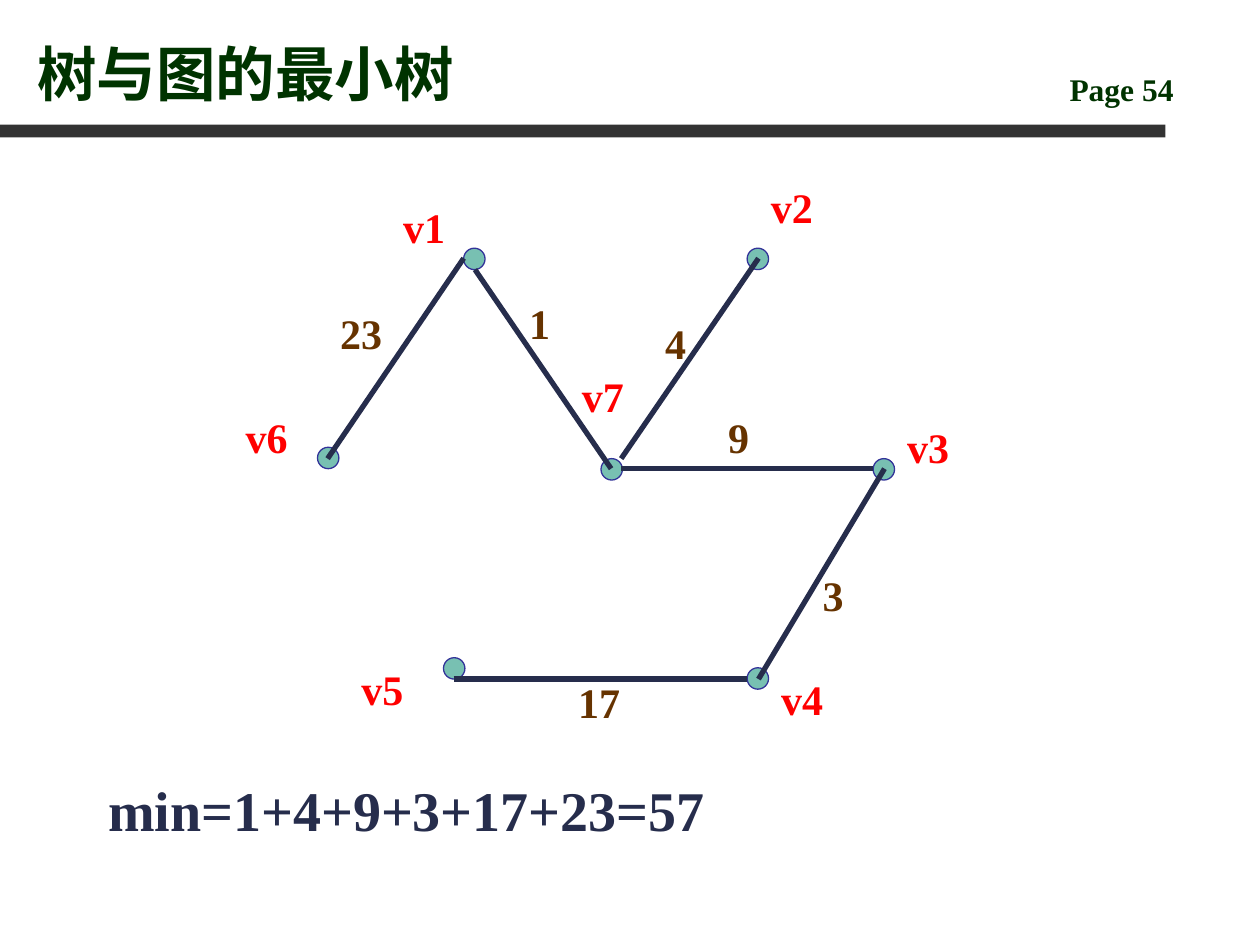
from dataclasses import dataclass

from lxml import etree
from pptx import Presentation
from pptx.dml.color import RGBColor as Color
from pptx.enum.shapes import MSO_CONNECTOR as Connector, MSO_SHAPE as Shape
from pptx.enum.text import MSO_ANCHOR as Anchor
from pptx.oxml.ns import qn
from pptx.util import Inches, Pt


@dataclass(frozen=True)
class Theme:
    font: str = "Times New Roman"
    heading: str = "003300"
    bar: str = "333333"
    node: str = "78C0B2"
    node_line: str = "333399"
    edge: str = "262D4C"
    vertex: str = "FF0000"
    weight: str = "663300"
    title_size: int = 34
    page_size: int = 18
    label_size: int = 24
    result_size: int = 32


theme = Theme()

presentation = Presentation()
presentation.slide_width, presentation.slide_height = Inches(10), Inches(7.5)
slide = presentation.slides.add_slide(presentation.slide_layouts[6])


def add_text(text, *, left, top, width=0.58, height=0.5, size=theme.label_size,
             color=theme.heading, anchor=Anchor.TOP):
    box = slide.shapes.add_textbox(Inches(left), Inches(top), Inches(width), Inches(height))
    frame = box.text_frame
    frame.word_wrap = True
    frame.vertical_anchor = anchor
    paragraph = frame.paragraphs[0]
    run = paragraph.add_run()
    run.text = text
    run.font.name = theme.font
    run.font.size = Pt(size)
    run.font.bold = True
    run.font.color.rgb = Color.from_string(color)


def add_filled(kind, left, top, width, height, fill):
    shape = slide.shapes.add_shape(kind, Inches(left), Inches(top), Inches(width), Inches(height))
    shape.shadow.inherit = False
    shape.fill.solid()
    shape.fill.fore_color.rgb = Color.from_string(fill)
    shape.line.fill.background()
    return shape


# Header: rule, page number and title
add_filled(Shape.RECTANGLE, 0, 0.99, 9.25, 0.1, theme.bar)
add_text("Page 54", left=8.39, top=0.51, width=1.42, height=0.4, size=theme.page_size)
add_text("树与图的最小树", left=0.2, top=0.13, width=8.03, height=0.78,
         size=theme.title_size, anchor=Anchor.BOTTOM)

# Vertices: name, node corner, label corner
vertices = [
    ("v7", (4.77, 3.64), (4.52, 2.89)),
    ("v4", (5.93, 5.3), (6.1, 5.3)),
    ("v5", (3.52, 5.22), (2.77, 5.22)),
    ("v2", (5.93, 1.97), (6.02, 1.39)),
    ("v3", (6.93, 3.64), (7.1, 3.3)),
    ("v6", (2.52, 3.55), (1.85, 3.22)),
    ("v1", (3.68, 1.97), (3.1, 1.55)),
]
for name, (left, top), label in vertices:
    node = add_filled(Shape.OVAL, left, top, 0.17, 0.17, theme.node)
    node.line.color.rgb = Color.from_string(theme.node_line)
    node.line.width = Pt(0.75)

# Tree edges: weight, start, end, label corner
edges = [
    ("23", (3.68, 2.05), (2.6, 3.64), (2.6, 2.39)),
    ("1", (3.77, 2.14), (4.85, 3.72), (4.1, 2.31)),
    ("4", (6.02, 2.05), (4.93, 3.64), (5.18, 2.47)),
    ("9", (4.93, 3.72), (6.93, 3.72), (5.68, 3.22)),
    ("17", (3.6, 5.39), (5.93, 5.39), (4.49, 5.32)),
    ("3", (7.02, 3.72), (6.02, 5.39), (6.43, 4.47)),
]
for weight, start, end, label in edges:
    points = [Inches(length) for length in (*start, *end)]
    edge = slide.shapes.add_connector(Connector.STRAIGHT, *points)
    edge.line.color.rgb = Color.from_string(theme.edge)
    edge.line.width = Pt(3)
    etree.SubElement(edge._element.spPr, qn("a:effectLst"))

# Labels in front of the nodes and edges
for name, corner, (left, top) in vertices:
    add_text(name, left=left, top=top, color=theme.vertex)
for weight, start, end, (left, top) in edges:
    add_text(weight, left=left, top=top, color=theme.weight)

# Total weight
add_text("min=1+4+9+3+17+23=57", left=0.76, top=6.11, width=8.33, height=0.64,
         size=theme.result_size, color=theme.edge)

presentation.save("out.pptx")
